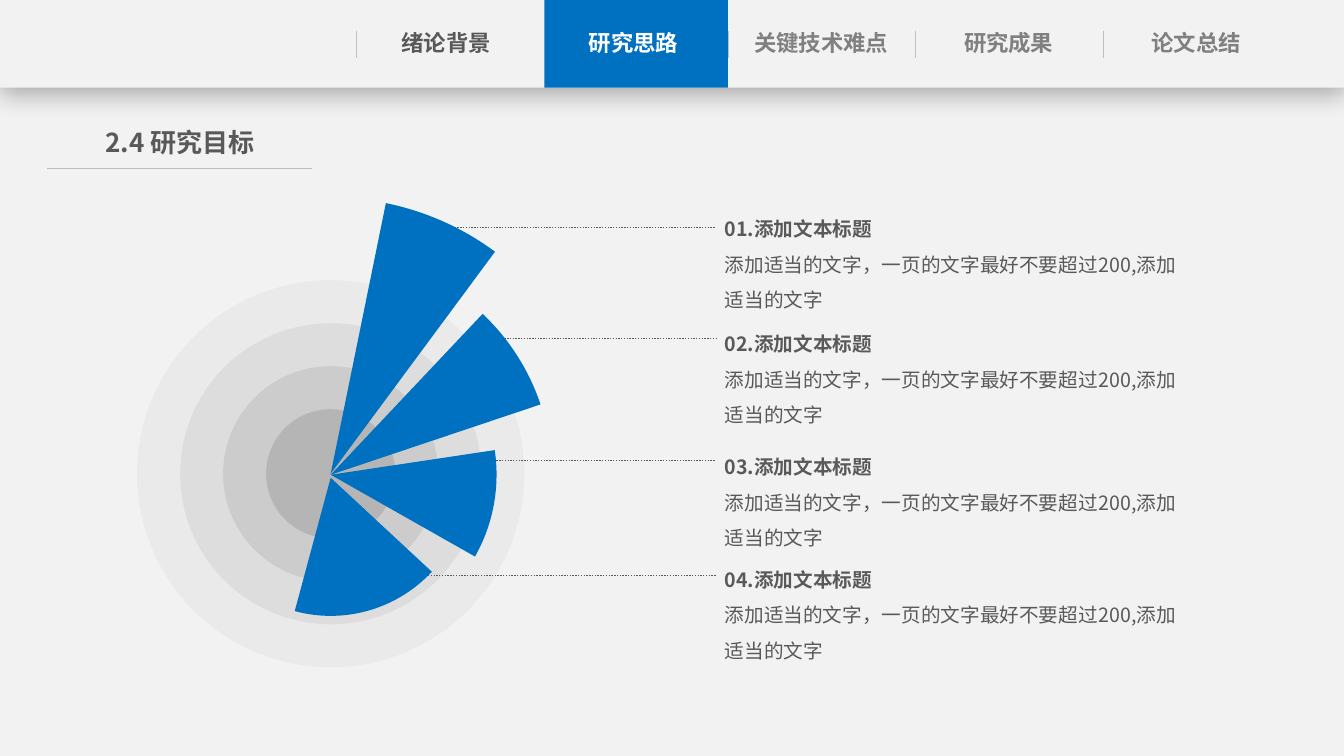
import pptx
import pptx.util
import pptx.dml.color
import pptx.enum.dml
import pptx.enum.shapes
import pptx.enum.text
import pptx.oxml
import pptx.oxml.ns
from dataclasses import dataclass

Inches = pptx.util.Inches
Pt = pptx.util.Pt
SHAPE = pptx.enum.shapes.MSO_SHAPE
ALIGN = pptx.enum.text.PP_ALIGN
DOTTED = pptx.enum.dml.MSO_LINE.ROUND_DOT


@dataclass(frozen=True)
class Theme:
    font: str = "Noto Sans CJK SC"
    page: str = "F2F2F2"
    accent: str = "0070C0"
    ink: str = "595959"
    muted: str = "808080"
    white: str = "FFFFFF"
    rule: str = "BFBFBF"
    rings: tuple = ("D9D9D9", "BFBFBF", "A6A6A6", "808080")
    nav_size: float = 16
    heading_size: float = 18.6
    body_size: float = 14


def rgb(value):
    return pptx.dml.color.RGBColor.from_string(value)


def add_xml(parent, tag, content="", **attributes):
    values = "".join(f' {key}="{value}"' for key, value in attributes.items())
    namespace = pptx.oxml.ns.nsdecls("a")
    parent.append(pptx.oxml.parse_xml(f"<a:{tag} {namespace}{values}>{content}</a:{tag}>"))


class SlideBuilder:
    def __init__(self, slide, theme):
        self.slide = slide
        self.theme = theme
        background = slide.background.fill
        background.solid()
        background.fore_color.rgb = rgb(theme.page)

    def shape(self, kind, left, top, width, height, color, alpha=None):
        shape = self.slide.shapes.add_shape(
            kind, Inches(left), Inches(top), Inches(width), Inches(height))
        shape.shadow.inherit = False
        shape.fill.solid()
        shape.fill.fore_color.rgb = rgb(color)
        shape.line.fill.background()
        if alpha is not None:
            color_node = shape.fill._xPr.find(".//" + pptx.oxml.ns.qn("a:srgbClr"))
            add_xml(color_node, "alpha", val=alpha * 1000)
        return shape

    def disc(self, kind, center_x, center_y, diameter, color, alpha=None):
        return self.shape(kind, center_x - diameter / 2, center_y - diameter / 2,
                          diameter, diameter, color, alpha)

    def wedge(self, center_x, center_y, diameter, start, end):
        wedge = self.disc(SHAPE.PIE, center_x, center_y, diameter, self.theme.accent)
        for index, degrees in enumerate((start, end)):
            wedge.adjustments[index] = degrees * 0.6

    def shadow(self, shape, alpha, blur, distance):
        effects = shape._element.spPr.find(pptx.oxml.ns.qn("a:effectLst"))
        add_xml(effects, "outerShdw",
                f'<a:srgbClr val="000000"><a:alpha val="{alpha * 1000}"/></a:srgbClr>',
                blurRad=Pt(blur), dist=Pt(distance), dir=90 * 60000, rotWithShape=0)

    def line(self, x1, y1, x2, y2, color, width, dash=None):
        line = self.slide.shapes.add_connector(
            pptx.enum.shapes.MSO_CONNECTOR.STRAIGHT,
            Inches(x1), Inches(y1), Inches(x2), Inches(y2))
        formats = {"width": Pt(width), "dash_style": dash}
        for key, value in formats.items():
            setattr(line.line, key, value)
        line.line.color.rgb = rgb(color)
        add_xml(line._element.spPr, "effectLst")

    def text(self, left, top, width, height, paragraphs, size, color,
             align=ALIGN.LEFT, spacing=1.0, side_inset=0.1):
        box = self.slide.shapes.add_textbox(
            Inches(left), Inches(top), Inches(width), Inches(height))
        frame = box.text_frame
        frame_format = {
            "word_wrap": True,
            "auto_size": pptx.enum.text.MSO_AUTO_SIZE.SHAPE_TO_FIT_TEXT,
            "margin_left": Inches(side_inset),
            "margin_right": Inches(side_inset),
        }
        for key, value in frame_format.items():
            setattr(frame, key, value)
        for index, (words, bold) in enumerate(paragraphs):
            paragraph = frame.add_paragraph() if index else frame.paragraphs[0]
            paragraph.alignment = align
            paragraph.line_spacing = spacing
            run = paragraph.add_run()
            run.text = words
            font_format = {"name": self.theme.font, "size": Pt(size), "bold": bold}
            for key, value in font_format.items():
                setattr(run.font, key, value)
            run.font.color.rgb = rgb(color)
            add_xml(run.font._element, "ea", typeface=self.theme.font)

    def label(self, left, top, width, height, words, size, color):
        self.text(left, top, width, height, [(words, True)], size, color,
                  align=ALIGN.CENTER, side_inset=0)


def add_navigation(builder):
    theme = builder.theme
    header = builder.shape(SHAPE.RECTANGLE, 0, 0, 13.33, 0.87, theme.page)
    builder.shadow(header, alpha=29, blur=18, distance=4)
    builder.shape(SHAPE.RECTANGLE, 5.4, 0, 1.82, 0.87, theme.accent)
    for divider_x in (3.53, 7.22, 9.08, 10.94):
        builder.line(divider_x, 0.31, divider_x, 0.58, theme.rule, 0.5)
    sections = (
        ("绪论背景", theme.ink),
        ("研究思路", theme.white),
        ("关键技术难点", theme.muted),
        ("研究成果", theme.muted),
        ("论文总结", theme.muted),
    )
    for index, (section, color) in enumerate(sections):
        builder.label(3.69 + 1.86 * index, 0.24, 1.47, 0.38, section, theme.nav_size, color)


def add_heading(builder):
    theme = builder.theme
    builder.line(0.47, 1.67, 3.09, 1.67, theme.rule, 0.5)
    builder.label(0.75, 1.21, 2.07, 0.42, "2.4 研究目标", theme.heading_size, theme.ink)


def add_goals(builder):
    theme = builder.theme
    center_x = 3.28
    for index, ring_color in enumerate(theme.rings):
        builder.disc(SHAPE.OVAL, center_x, 4.7, 3.84 - 0.853 * index, ring_color, alpha=30)

    leaders = ((4.51, 2.26), (4.92, 3.36), (4.51, 4.57), (4.19, 5.71))
    for leader_x, leader_y in leaders:
        builder.line(leader_x, leader_y, 7.1, leader_y, theme.ink, 1, DOTTED)

    description = "添加适当的文字，一页的文字最好不要超过200,添加适当的文字"
    for number, goal_top in enumerate((1.99, 3.13, 4.35, 5.47), 1):
        goal = [(f"{number:02}.添加文本标题", True), (description, False)]
        builder.text(7.09, goal_top, 4.8, 1.16, goal, theme.body_size, theme.ink, spacing=1.5)

    wedges = (
        (4.7, 5.48, 281.52, 306.49),
        (4.71, 4.39, 313.35, 341.45),
        (4.71, 3.29, 351.45, 29.55),
        (4.74, 2.74, 42.89, 105.07),
    )
    for center_y, diameter, start, end in wedges:
        builder.wedge(center_x, center_y, diameter, start, end)


def main():
    presentation = pptx.Presentation()
    presentation.slide_width = Inches(13.33)
    presentation.slide_height = Inches(7.5)
    slide = presentation.slides.add_slide(presentation.slide_layouts[6])
    builder = SlideBuilder(slide, Theme())
    add_navigation(builder)
    add_heading(builder)
    add_goals(builder)
    presentation.save("out.pptx")


if __name__ == "__main__":
    main()
